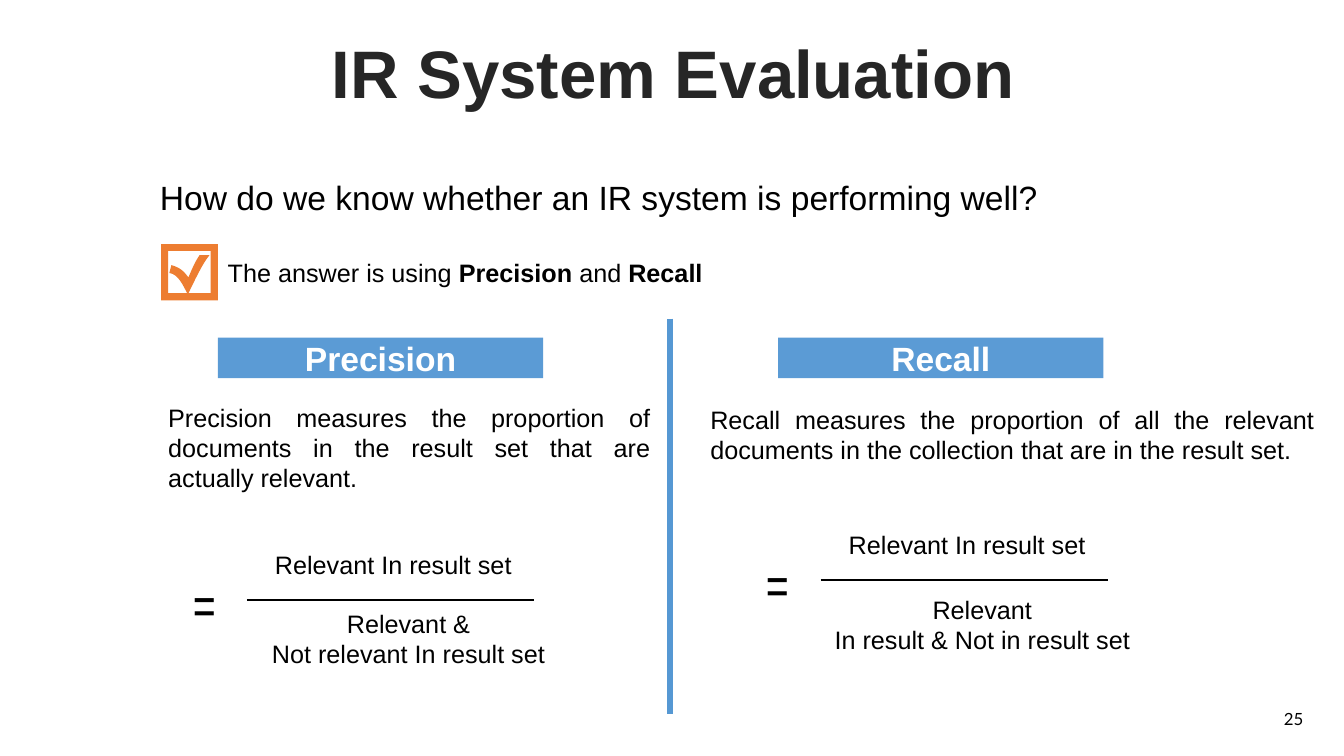
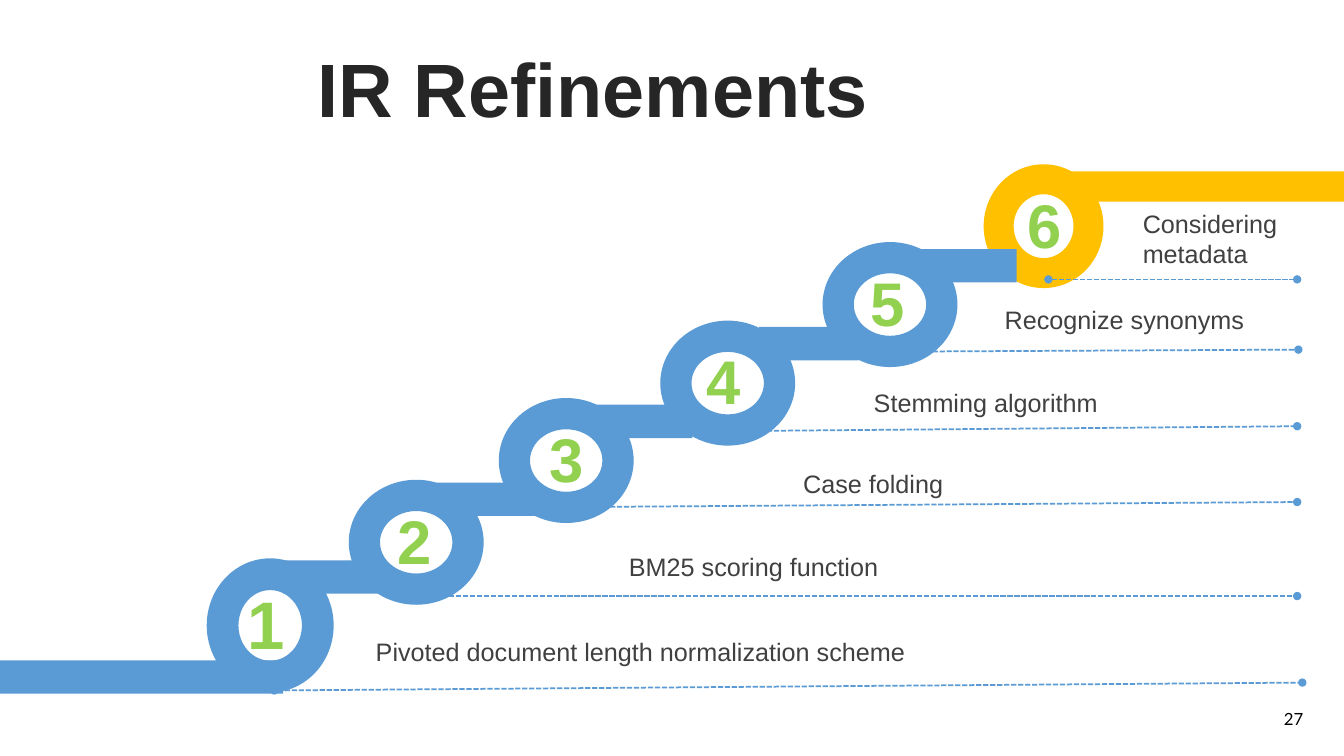
from dataclasses import dataclass

from lxml.etree import SubElement
from pptx import Presentation
from pptx.dml.color import RGBColor
from pptx.enum.dml import MSO_LINE
from pptx.enum.shapes import MSO_CONNECTOR, MSO_SHAPE
from pptx.enum.text import MSO_ANCHOR, PP_ALIGN
from pptx.oxml.ns import qn
from pptx.util import Cm, Pt


@dataclass(frozen=True)
class Theme:
    font: str = "Arial"
    number_font: str = "Lato"
    black: str = "000000"
    white: str = "FFFFFF"
    title: str = "262626"
    label: str = "404040"
    blue: str = "5B9BD5"
    divider: str = "5698D3"
    gold: str = "FFC000"
    orange: str = "ED7D31"
    green: str = "92D050"
    body_size: int = 18
    heading_size: int = 24
    equals_size: int = 40
    page_size: int = 12


@dataclass(frozen=True)
class Step:
    """One ring of the staircase with its bar, digit, label and guide line."""
    label: str
    ring: tuple
    bar_x: float
    digit_x: float
    label_at: tuple
    guide: tuple
    bar_size: tuple = (2.51, 0.84)
    digit_size: int = 44
    color: str = Theme.blue


T = Theme()
SLIDE_W, SLIDE_H = 33.87, 19.05
LABEL_RIGHT = 33.17
BAR_BOTTOM, BAR_RISE = 14.12, 1.96

STEPS = (
    Step("Pivoted document length normalization scheme", (5.21, 14.07, 3.2, 3.38),
         7.14, 5.54, (9.22, 15.9), (6.91, 17.4, 32.82, 17.2), digit_size=48),
    Step("BM25 scoring function", (8.79, 12.09, 3.4, 3.15),
         11, 9.22, (15.6, 13.77), (10.69, 15.02, 32.69, 15.02)),
    Step("Case folding", (12.57, 10.03, 3.4, 3.15),
         14.94, 13.06, (19.99, 11.68), (14.05, 12.78, 32.69, 12.65)),
    Step("Stemming algorithm", (16.64, 8.08, 3.4, 3.15),
         19.13, 17.02, (21.77, 9.63), (17.83, 10.87, 32.69, 10.74)),
    Step("Recognize synonyms", (20.73, 6.1, 3.4, 3.15),
         23.11, 21.16, (25.07, 7.54), (22.53, 8.86, 32.72, 8.81)),
    Step("Considering metadata", (24.79, 4.14, 3.02, 3.12),
         26.92, 25.1, (28.55, 5.13), (26.42, 7.04, 32.69, 7.04),
         bar_size=(6.95, 0.76), color=T.gold),
)


def rgb(color):
    return RGBColor.from_string(color)


def format_run(r, size, color, bold=False, font=T.font):
    r.font.name = font
    r.font.size = Pt(size)
    r.font.bold = bold
    r.font.color.rgb = rgb(color)


def add_text(s, box, text, size=T.body_size, color=T.black, bold=False,
             align=PP_ALIGN.LEFT, anchor=MSO_ANCHOR.TOP, font=T.font, margin=True):
    tf = s.shapes.add_textbox(*map(Cm, box)).text_frame
    tf.word_wrap = True
    tf.vertical_anchor = anchor
    if not margin:
        tf.margin_left = tf.margin_right = tf.margin_top = tf.margin_bottom = 0
    tf.text = text
    for p in tf.paragraphs:
        p.alignment = align
        for r in p.runs:
            format_run(r, size, color, bold, font)
    return tf


def paint(sp, color):
    sp.shadow.inherit = False
    sp.fill.solid()
    sp.fill.fore_color.rgb = rgb(color)
    sp.line.fill.background()


def add_block(s, kind, box, color):
    sp = s.shapes.add_shape(kind, *map(Cm, box))
    paint(sp, color)
    return sp


def add_line(s, ends, color, width, dotted=False):
    """Draw a straight line; a dotted one is dashed with a dot at each end."""
    sp = s.shapes.add_connector(MSO_CONNECTOR.STRAIGHT, *map(Cm, ends))
    sp.line.color.rgb = rgb(color)
    sp.line.width = Pt(width)
    spPr = sp._element.spPr
    if dotted:
        sp.line.dash_style = MSO_LINE.SQUARE_DOT
        ln = spPr.find(qn("a:ln"))
        for end in ("a:headEnd", "a:tailEnd"):
            SubElement(ln, qn(end)).set("type", "oval")
    SubElement(spPr, qn("a:effectLst"))


def curve(*controls, pieces=8):
    """Return points along the cubic curve given by four control points."""
    points = []
    for i in range(pieces + 1):
        t = i / pieces
        weights = ((1 - t) ** 3, 3 * t * (1 - t) ** 2, 3 * t * t * (1 - t), t ** 3)
        points.append(tuple(sum(w * c[axis] for w, c in zip(weights, controls))
                            for axis in (0, 1)))
    return points


def add_checkbox(s, color):
    outer = [(4.06, 6.15), (5.49, 6.15), (5.49, 7.57), (4.06, 7.57)]
    inner = [
        (4.24, 6.32), (4.24, 7.39),
        *curve((4.72, 7.39), (4.62, 7.21), (4.5, 6.91), (4.27, 6.88)),
        *curve((4.32, 6.68), (4.57, 6.76), (4.62, 6.83), (4.75, 6.99)),
        *curve((4.75, 6.99), (4.85, 6.76), (4.9, 6.63), (5.03, 6.43)),
        *curve((5.28, 6.43), (5.08, 6.68), (4.9, 7.09), (4.75, 7.39)),
        (5.31, 7.39), (5.31, 6.32),
    ]
    outer, inner = ([(Cm(x), Cm(y)) for x, y in points] for points in (outer, inner))
    builder = s.shapes.build_freeform(*outer[0])
    builder.add_line_segments(outer[1:])
    builder.move_to(*inner[0])
    builder.add_line_segments(inner[1:])
    paint(builder.convert_to_shape(), color)


def add_slide(prs, title, title_box, title_size, number):
    s = prs.slides.add_slide(prs.slide_layouts[6])
    tf = add_text(s, title_box, title, title_size, T.title, True,
                  PP_ALIGN.CENTER, MSO_ANCHOR.MIDDLE)
    p = tf.paragraphs[0]
    p.line_spacing = 0.9
    p.space_before = Pt(10)
    add_text(s, (31.75, 17.73, 1.7, 0.76), number, T.page_size,
             align=PP_ALIGN.CENTER, font=T.number_font)
    return s


def add_heading(s, x, text):
    sp = add_block(s, MSO_SHAPE.RECTANGLE, (x, 8.51, 8.2, 1.02), T.blue)
    tf = sp.text_frame
    tf.vertical_anchor = MSO_ANCHOR.MIDDLE
    tf.text = text
    p = tf.paragraphs[0]
    p.alignment = PP_ALIGN.CENTER
    format_run(p.runs[0], T.heading_size, T.white, True)


def add_fraction(s, x, y, numerator, denominator, gap):
    """Place an equals sign and a fraction whose line starts at x, y."""
    add_line(s, (x, y, x + 7.24, y), T.black, 1.5)
    add_text(s, (x + 0.46, y - 1.4, 6.8, 1.02), numerator)
    add_text(s, (x - 0.56, y + gap, 9.27, 1.78), denominator, align=PP_ALIGN.CENTER)
    add_text(s, (x - 1.63, y - 0.97, 1.96, 1.96), "꞊", T.equals_size)


def build_evaluation(prs):
    s = add_slide(prs, "IR System Evaluation", (0.89, 0.94, 32.16, 2.01), 48, "25")
    add_text(s, (3.78, 4.34, 22.76, 1.2),
             "How do we know whether an IR system is performing well?", T.heading_size)
    add_checkbox(s, T.orange)
    p = add_text(s, (5.49, 6.35, 15.14, 1.02), "The answer is using ").paragraphs[0]
    for text, bold in (("Precision", True), (" and ", False), ("Recall", True)):
        r = p.add_run()
        r.text = text
        format_run(r, T.body_size, T.black, bold)
    add_line(s, (16.89, 8.03, 16.89, 17.98), T.divider, 4.5)

    measures = (
        ("Precision", 5.49, (3.99, 10.01, 12.65, 2.54),
         "Precision measures the proportion of documents in the result set "
         "that are actually relevant.",
         (6.22, 15.11), "Relevant &\nNot relevant In result set", 0.1),
        ("Recall", 19.61, (17.65, 10.06, 15.72, 1.78),
         "Recall measures the proportion of all the relevant documents in the "
         "collection that are in the result set.",
         (20.68, 14.61), "Relevant\nIn result & Not in result set", 0.23),
    )
    for name, heading_x, box, meaning, start, denominator, gap in measures:
        add_heading(s, heading_x, name)
        add_text(s, box, meaning, align=PP_ALIGN.JUSTIFY)
        add_fraction(s, *start, "Relevant In result set", denominator, gap)


def build_refinements(prs):
    s = add_slide(prs, "IR Refinements", (3.05, 1.35, 23.77, 2.01), 54, "27")
    add_block(s, MSO_SHAPE.RECTANGLE, (0, 16.64, 7.14, 0.84), T.blue)
    # Top step first, so that each bar overlaps the ring above it
    for i, step in reversed(list(enumerate(STEPS))):
        bar_y = BAR_BOTTOM - BAR_RISE * i
        add_block(s, MSO_SHAPE.DONUT, step.ring, step.color)
        add_block(s, MSO_SHAPE.RECTANGLE, (step.bar_x, bar_y, *step.bar_size), step.color)
    for number, step in enumerate(STEPS, 1):
        add_line(s, step.guide, T.blue, 1.25, dotted=True)
        _, ring_y, _, ring_h = step.ring
        add_text(s, (step.digit_x, ring_y + ring_h / 2 - 1.07, 1.65, 2), str(number),
                 step.digit_size, T.green, True, PP_ALIGN.RIGHT,
                 MSO_ANCHOR.MIDDLE, margin=False)
        x, y = step.label_at
        add_text(s, (x, y, LABEL_RIGHT - x, 1.02), step.label, color=T.label)


def main():
    prs = Presentation()
    prs.slide_width, prs.slide_height = Cm(SLIDE_W), Cm(SLIDE_H)
    build_evaluation(prs)
    build_refinements(prs)
    prs.save("out.pptx")


if __name__ == "__main__":
    main()
